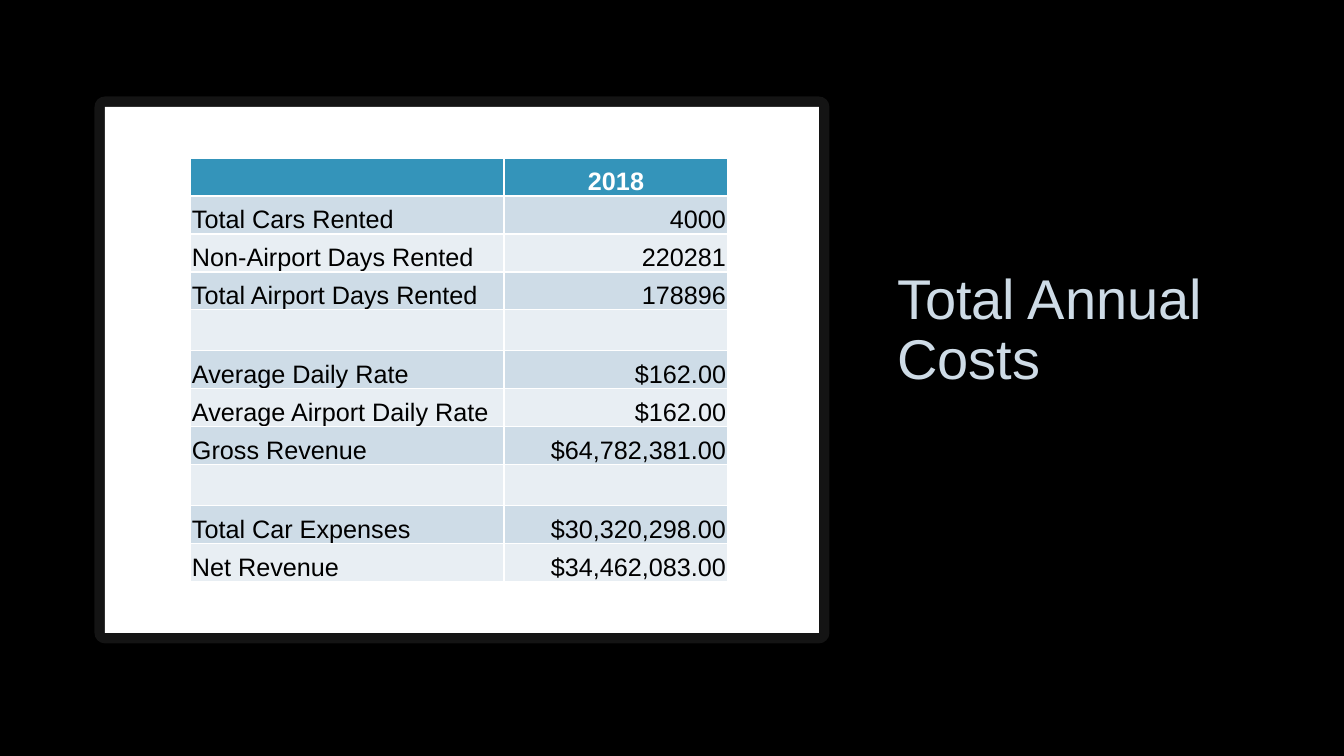
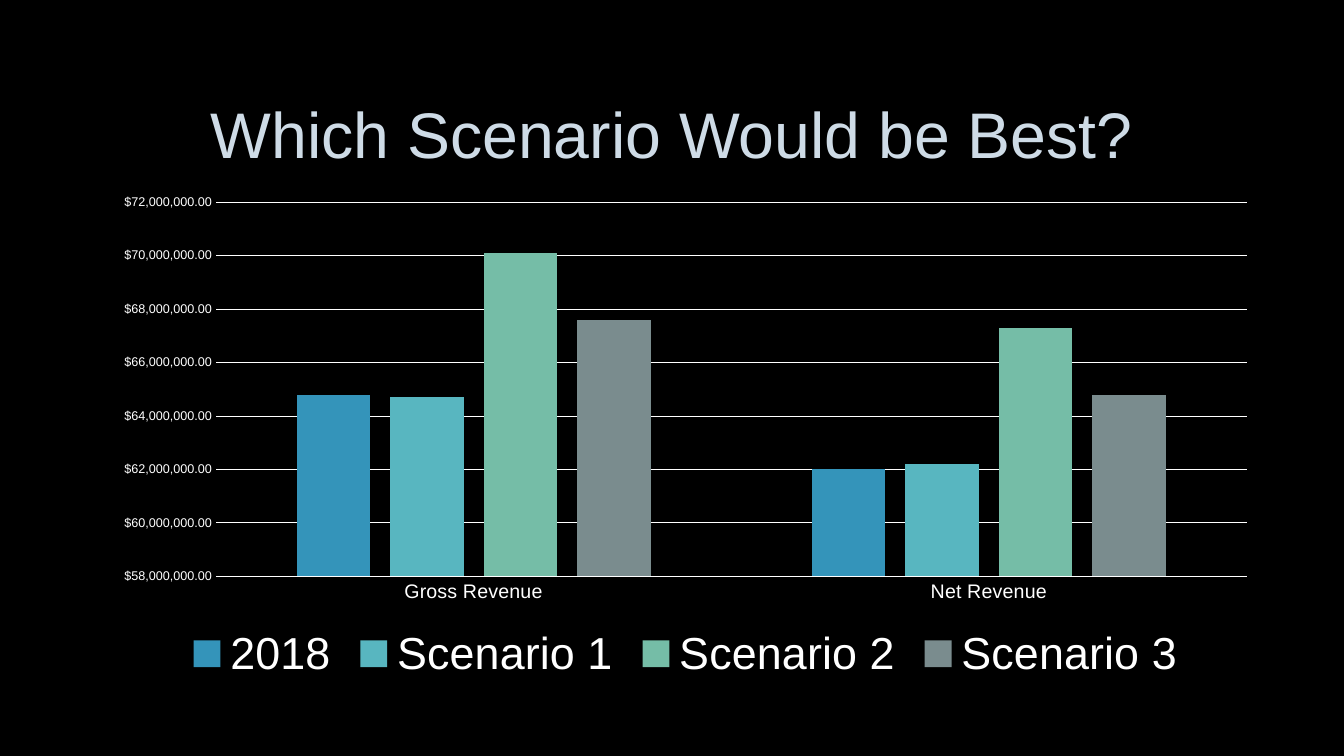
from lxml import etree
from pptx import Presentation
from pptx import util as u
from pptx.chart.data import CategoryChartData
from pptx.dml.color import RGBColor
from pptx.enum import chart as ch, shapes, text
from pptx.oxml import parse_xml
from pptx.oxml.ns import nsdecls, qn

BLACK = RGBColor(0x00, 0x00, 0x00)
WHITE = RGBColor(0xFF, 0xFF, 0xFF)
PALE_BLUE = RGBColor(0xCE, 0xDB, 0xE6)
BLUE = RGBColor(0x34, 0x94, 0xBA)
TEAL = RGBColor(0x58, 0xB6, 0xC0)
GREEN = RGBColor(0x75, 0xBD, 0xA7)
GREY = RGBColor(0x7A, 0x8C, 0x8E)
BAND_DARK = RGBColor(0xCE, 0xDC, 0xE7)
BAND_LIGHT = RGBColor(0xE8, 0xEE, 0xF3)
FONT = "Arial"
ALIGN, ANCHOR = text.PP_ALIGN, text.MSO_ANCHOR
TITLE_OUTLINE = (
    f'<a:ln {nsdecls("a")} w="9525"><a:solidFill><a:srgbClr val="404040">'
    '<a:alpha val="10000"/></a:srgbClr></a:solidFill></a:ln>'
)


def px(*lengths):
    """Turn slide pixels (100.8 to the inch) into EMU."""
    return [u.Emu(round(length * 914400 / 100.8)) for length in lengths]


def add_titled_slide(wording, box, size, align, anchor):
    slide = prs.slides.add_slide(prs.slide_layouts[5])
    title = slide.shapes.title
    title.left, title.top, title.width, title.height = px(*box)
    frame = title.text_frame
    frame.text = wording
    frame.auto_size = text.MSO_AUTO_SIZE.NONE
    frame.vertical_anchor = anchor
    paragraph = frame.paragraphs[0]
    paragraph.alignment, paragraph.line_spacing = align, 0.9
    run = paragraph.runs[0]
    run.font.name, run.font.size = FONT, u.Pt(size)
    run.font.color.rgb = PALE_BLUE
    run.font._element.insert(0, parse_xml(TITLE_OUTLINE))
    return slide


prs = Presentation()
prs.slide_width, prs.slide_height = px(1344, 756)
backdrop = prs.slide_master.background.fill
backdrop.solid()
backdrop.fore_color.rgb = BLACK

# Annual costs table on a framed white panel
costs_slide = add_titled_slide("Total Annual Costs", (887, 107, 345, 290), 40,
                               ALIGN.LEFT, ANCHOR.BOTTOM)
panel = costs_slide.shapes.add_shape(shapes.MSO_SHAPE.RECTANGLE,
                                     *px(105, 107, 714, 526))
panel.shadow.inherit = False
panel.fill.solid()
panel.fill.fore_color.rgb = WHITE
panel.line.color.rgb = WHITE
panel.line.width = u.Pt(15)
panel_line = panel.line._get_or_add_ln()
etree.SubElement(panel_line.find(".//" + qn("a:srgbClr")), qn("a:alpha"), val="7000")
etree.SubElement(panel_line, qn("a:round"))

costs = [
    ("", "2018"),
    ("Total Cars Rented", "4000"),
    ("Non-Airport Days Rented", "220281"),
    ("Total Airport Days Rented", "178896"),
    ("", ""),
    ("Average Daily Rate", "$162.00"),
    ("Average Airport Daily Rate", "$162.00"),
    ("Gross Revenue", "$64,782,381.00"),
    ("", ""),
    ("Total Car Expenses", "$30,320,298.00"),
    ("Net Revenue", "$34,462,083.00"),
]
row_heights = [38 if any(row) else 41 for row in costs]
costs_table = costs_slide.shapes.add_table(
    len(costs), 2, *px(190, 158, 538, sum(row_heights))).table
for column, width in zip(costs_table.columns, px(314, 224)):
    column.width = width
cell_format = {"vertical_anchor": ANCHOR.BOTTOM, "margin_bottom": 0}
cell_format.update(zip(("margin_left", "margin_right", "margin_top"), px(2, 2, 2)))

for r, (entries, height) in enumerate(zip(costs, px(*row_heights))):
    is_header = r == 0
    costs_table.rows[r].height = height
    for c, entry in enumerate(entries):
        cell = costs_table.cell(r, c)
        for attribute, value in cell_format.items():
            setattr(cell, attribute, value)
        cell.fill.solid()
        cell.fill.fore_color.rgb = (
            BLUE if is_header else BAND_DARK if r % 2 else BAND_LIGHT)
        if not entry:
            continue
        cell.text = entry
        paragraph = cell.text_frame.paragraphs[0]
        paragraph.alignment = (
            ALIGN.CENTER if is_header else ALIGN.RIGHT if c else ALIGN.LEFT)
        font = paragraph.runs[0].font
        font.name, font.size, font.bold = FONT, u.Pt(18), is_header
        font.color.rgb = WHITE if is_header else BLACK

# Revenue by scenario
scenario_slide = add_titled_slide("Which Scenario Would be Best?",
                                  (101, 68, 1141, 139), 46,
                                  ALIGN.CENTER, ANCHOR.MIDDLE)
scenarios = [
    ("2018", (64_800_000, 62_000_000), BLUE),
    ("Scenario 1", (64_700_000, 62_200_000), TEAL),
    ("Scenario 2", (70_100_000, 67_300_000), GREEN),
    ("Scenario 3", (67_600_000, 64_800_000), GREY),
]
revenue = CategoryChartData()
revenue.categories = ["Gross Revenue", "Net Revenue"]
for name, amounts, _ in scenarios:
    revenue.add_series(name, amounts)
chart = scenario_slide.shapes.add_chart(
    ch.XL_CHART_TYPE.COLUMN_CLUSTERED, *px(101, 185, 1169, 503), revenue).chart
chart.has_title = False
chart.has_legend = True
chart.legend.position = ch.XL_LEGEND_POSITION.BOTTOM
chart.legend.include_in_layout = False

plot = chart.plots[0]
plot.gap_width, plot.overlap, plot.vary_by_categories = 219, -27, False
for series, (_, _, colour) in zip(plot.series, scenarios):
    series.format.fill.solid()
    series.format.fill.fore_color.rgb = colour

names_axis, money_axis = chart.category_axis, chart.value_axis
money_scale = {"minimum_scale": 58_000_000, "maximum_scale": 72_000_000,
               "major_unit": 2_000_000, "has_major_gridlines": True}
for attribute, value in money_scale.items():
    setattr(money_axis, attribute, value)
money_axis.tick_labels.number_format = '"$"#,##0.00'
money_axis.tick_labels.number_format_is_linked = False
money_axis.format.line.fill.background()
for axis in (names_axis, money_axis):
    axis.major_tick_mark = axis.minor_tick_mark = ch.XL_TICK_MARK.NONE
for line in (names_axis.format.line, money_axis.major_gridlines.format.line):
    line.color.rgb, line.width = WHITE, u.Pt(0.75)
for part, size in ((chart, 10), (names_axis.tick_labels, 14),
                   (money_axis.tick_labels, 9), (chart.legend, 32)):
    part.font.name, part.font.size = FONT, u.Pt(size)
    part.font.color.rgb = WHITE

prs.save("out.pptx")
